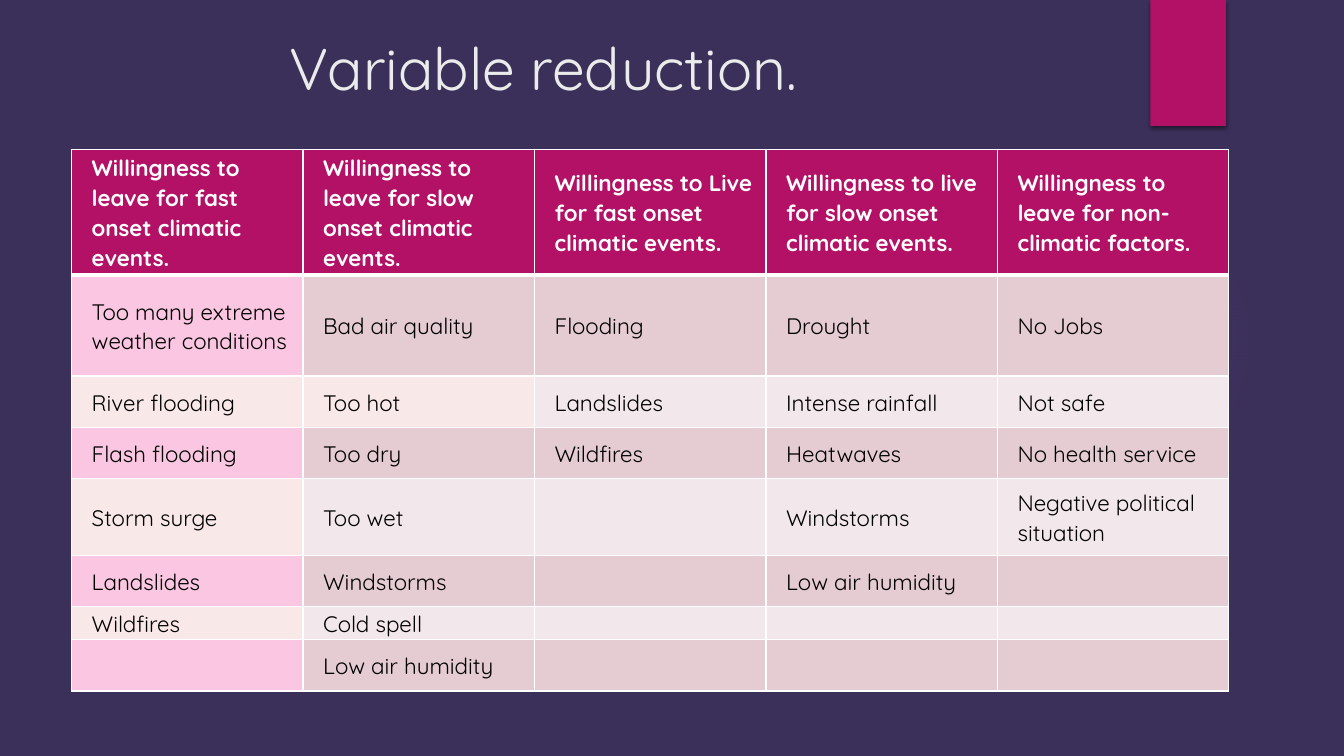
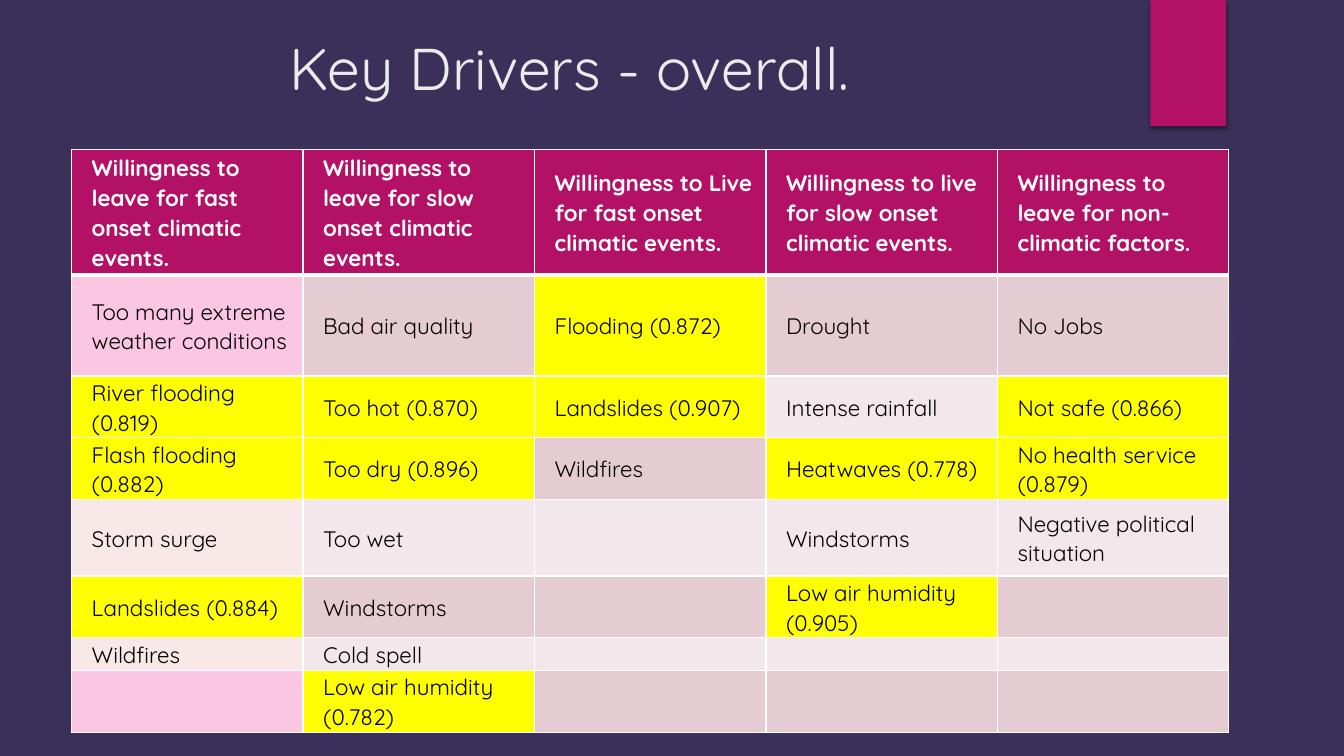
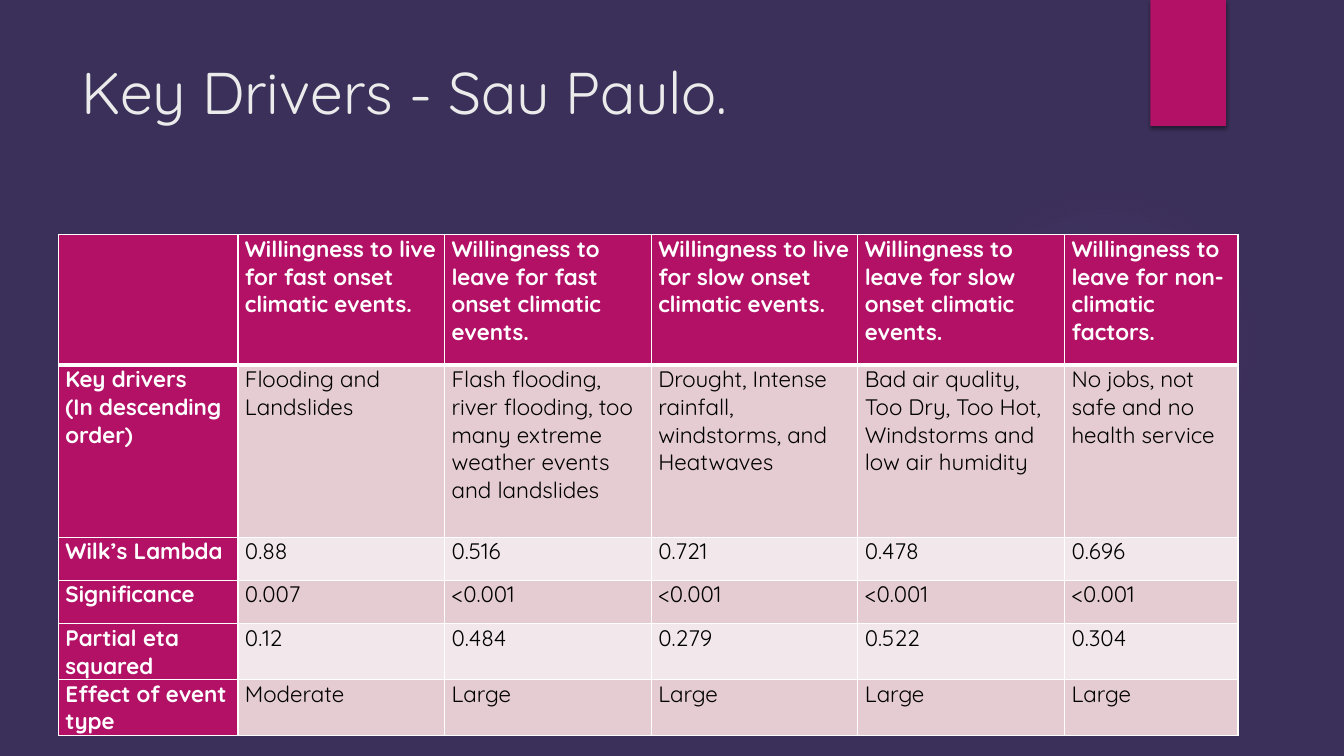
from dataclasses import dataclass

from lxml import etree
from pptx import Presentation
from pptx.dml.color import RGBColor
from pptx.enum.shapes import MSO_SHAPE
from pptx.enum.text import MSO_ANCHOR, MSO_AUTO_SIZE, PP_ALIGN
from pptx.oxml import parse_xml
from pptx.oxml.ns import nsdecls, qn
from pptx.util import Inches, Pt

OVAL, RECT = MSO_SHAPE.OVAL, MSO_SHAPE.RECTANGLE
TOP, MIDDLE = MSO_ANCHOR.TOP, MSO_ANCHOR.MIDDLE
LEFT = PP_ALIGN.LEFT
NO_FIT = MSO_AUTO_SIZE.NONE


@dataclass(frozen=True)
class Theme:
    font: str = "Quicksand"
    back: str = "3B3059"
    accent: str = "B31166"
    glow: str = "9B6BF2"
    title: str = "EBEBEB"
    white: str = "FFFFFF"
    black: str = "000000"
    mark: str = "FFFF00"
    bands: tuple = ("E5CCD3", "F2E7EA")
    pinks: tuple = ("FAC6E1", "F9E8E8")
    title_size: int = 42
    cell_size: int = 16
    thin: int = 1
    thick: int = 3


THEME = Theme()

DRIVERS = [
    ["Willingness to leave for fast onset climatic events.",
     "Willingness to leave for slow onset climatic events.",
     "Willingness to Live for fast onset climatic events.",
     "Willingness to live for slow onset climatic events.",
     "Willingness to leave for non-climatic factors."],
    ["Too many extreme weather conditions", "Bad air quality", "Flooding",
     "Drought", "No Jobs"],
    ["River flooding", "Too hot", "Landslides", "Intense rainfall", "Not safe"],
    ["Flash flooding", "Too dry", "Wildfires", "Heatwaves", "No health service"],
    ["Storm surge", "Too wet", "", "Windstorms", "Negative political situation"],
    ["Landslides", "Windstorms", "", "Low air humidity", ""],
    ["Wildfires", "Cold spell", "", "", ""],
    ["", "Low air humidity", "", "", ""],
]
SCORES = {
    (1, 2): "0.872",
    (2, 0): "0.819", (2, 1): "0.870", (2, 2): "0.907", (2, 4): "0.866",
    (3, 0): "0.882", (3, 1): "0.896", (3, 3): "0.778", (3, 4): "0.879",
    (5, 0): "0.884", (5, 3): "0.905",
    (7, 1): "0.782",
}
CITY = [
    ["",
     "Willingness to live for fast onset climatic events.",
     "Willingness to leave for fast onset climatic events.",
     "Willingness to live for slow onset climatic events.",
     "Willingness to leave for slow onset climatic events.",
     "Willingness to leave for non-climatic factors."],
    ["Key drivers\n(In descending order)",
     "Flooding and Landslides",
     "Flash flooding, river flooding, too many extreme weather events and landslides",
     "Drought, Intense rainfall, windstorms, and Heatwaves",
     "Bad air quality, Too Dry, Too Hot, Windstorms and low air humidity",
     "No jobs, not safe and no health service"],
    ["Wilk’s Lambda", "0.88", "0.516", "0.721", "0.478", "0.696"],
    ["Significance", "0.007"] + ["<0.001"] * 4,
    ["Partial eta squared", "0.12", "0.484", "0.279", "0.522", "0.304"],
    ["Effect of event type", "Moderate"] + ["Large"] * 4,
]


def put_text(frame, text, size=THEME.cell_size, color=THEME.black, bold=False,
             space=None):
    frame.word_wrap = True
    for index, line in enumerate(text.split("\n")):
        para = frame.add_paragraph() if index else frame.paragraphs[0]
        para.alignment = LEFT
        if space:
            para.line_spacing = space
        if line:
            run = para.add_run()
            run.text = line
            font = run.font
            font.name, font.size, font.bold = THEME.font, Pt(size), bold
            font.color.rgb = RGBColor.from_string(color)


def set_edge(cell, side, width):
    props = cell._tc.get_or_add_tcPr()
    line = etree.SubElement(props, qn(f"a:{side}"), w=str(Pt(width)))
    fill = etree.SubElement(line, qn("a:solidFill"))
    etree.SubElement(fill, qn("a:srgbClr"), val=THEME.white)


def add_grid(slide, box, data, cols, rows, fill_of, insets, anchor=TOP,
             space=None, side_head=False):
    frame = slide.shapes.add_table(len(rows), len(cols), *map(Inches, box))
    table = frame.table
    table.horz_banding = False
    for col, width in zip(table.columns, cols):
        col.width = Inches(width)
    for row, height in zip(table.rows, rows):
        row.height = Inches(height)
    for r, line in enumerate(data):
        for c, text in enumerate(line):
            cell = table.cell(r, c)
            head = r == 0 or (side_head and c == 0)
            (cell.margin_left, cell.margin_top,
             cell.margin_right, cell.margin_bottom) = map(Inches, insets)
            cell.vertical_anchor = anchor
            put_text(cell.text_frame, text, bold=head, space=space,
                     color=THEME.white if head else THEME.black)
            set_edge(cell, "lnL", THEME.thin)
            set_edge(cell, "lnR", THEME.thin)
            set_edge(cell, "lnT", THEME.thick if r == 1 else THEME.thin)
            set_edge(cell, "lnB", THEME.thick if r == 0 else THEME.thin)
            cell.fill.solid()
            color = THEME.accent if head else fill_of(r, c)
            cell.fill.fore_color.rgb = RGBColor.from_string(color)


def add_title(slide, box, text):
    title = slide.shapes.title
    title.left, title.top, title.width, title.height = map(Inches, box)
    frame = title.text_frame
    frame.auto_size = NO_FIT
    frame.vertical_anchor = TOP
    put_text(frame, text, size=THEME.title_size, color=THEME.title)


def add_decor(slide, kind, box):
    shape = slide.shapes.add_shape(kind, *map(Inches, box))
    shape.fill.solid()
    shape.fill.fore_color.rgb = RGBColor.from_string(THEME.accent)
    shape.line.fill.background()
    shape.shadow.inherit = False
    return shape


def add_glow(slide, box):
    glow = add_decor(slide, OVAL, box)
    stops = "".join(
        f'<a:gs pos="{at * 1000}"><a:srgbClr val="{THEME.glow}">'
        f'<a:alpha val="{alpha * 1000}"/></a:srgbClr></a:gs>'
        for at, alpha in ((0, 7), (36, 6), (69, 0)))
    fade = parse_xml(
        f'<a:gradFill {nsdecls("a")}><a:gsLst>{stops}</a:gsLst>'
        '<a:path path="circle"><a:fillToRect l="50000" t="50000" '
        'r="50000" b="50000"/></a:path></a:gradFill>')
    props = glow.element.spPr
    props.replace(props.find(qn("a:solidFill")), fade)
    return glow


def add_ribbon(slide, box):
    ribbon = add_decor(slide, RECT, box)
    shade = parse_xml(
        f'<a:outerShdw {nsdecls("a")} blurRad="{Pt(3)}" dist="{Pt(2)}" '
        f'dir="5400000" rotWithShape="0"><a:srgbClr val="{THEME.black}">'
        '<a:alpha val="45000"/></a:srgbClr></a:outerShdw>')
    ribbon.element.spPr.find(qn("a:effectLst")).append(shade)
    return ribbon


def dress_layout(layout, slide):
    fill = layout.background.fill
    fill.solid()
    fill.fore_color.rgb = RGBColor.from_string(THEME.back)
    decor = [add_glow(slide, (9.41, 1.83, 3.08, 3.08)),
             add_ribbon(slide, (11.41, 0, 0.75, 1.25))]
    for index, shape in enumerate(decor):
        shape.element.nvSpPr.cNvPr.id = 20 + index
        layout.shapes.element.insert(2 + index, shape.element)


def driver_slide(slide, title, scores):
    def fill_of(r, c):
        if (r, c) in scores:
            return THEME.mark
        pink = c == 0 or (r, c) == (2, 1)
        return (THEME.pinks if pink else THEME.bands)[(r - 1) % 2]

    data = [[f"{text} ({scores[r, c]})" if (r, c) in scores else text
             for c, text in enumerate(line)] for r, line in enumerate(DRIVERS)]
    box = (0.71, 1.48, 11.48, 5.32)
    count = len(data[0])
    add_title(slide, (2.77, 0.26, 9.42, 1.41), title)
    add_grid(slide, box, data, [box[2] / count] * count,
             [1.25, 1, 0.51, 0.51, 0.76, 0.51, 0.27, 0.51], fill_of,
             (0.2, 0.01, 0.01, 0.01), anchor=MIDDLE, space=1.07)


def city_slide(slide, title):
    add_title(slide, (0.71, 0.5, 10.29, 1.53), title)
    add_grid(slide, (0.58, 2.33, 11.7, 4.9), CITY,
             [1.78] + [2.05] * 4 + [1.72],
             [1.29, 1.71, 0.43, 0.43, 0.52, 0.52],
             lambda r, c: THEME.bands[(r - 1) % 2],
             (0.07, 0, 0.07, 0), side_head=True)


def main():
    deck = Presentation()
    deck.slide_width, deck.slide_height = Inches(13.33), Inches(7.5)
    layout = deck.slide_layouts[5]
    first, second, third = [deck.slides.add_slide(layout) for _ in range(3)]
    dress_layout(layout, first)
    driver_slide(first, "Variable reduction.", {})
    driver_slide(second, "Key Drivers - overall.", SCORES)
    city_slide(third, "Key Drivers - Sau Paulo.")
    deck.save("out.pptx")


if __name__ == "__main__":
    main()
